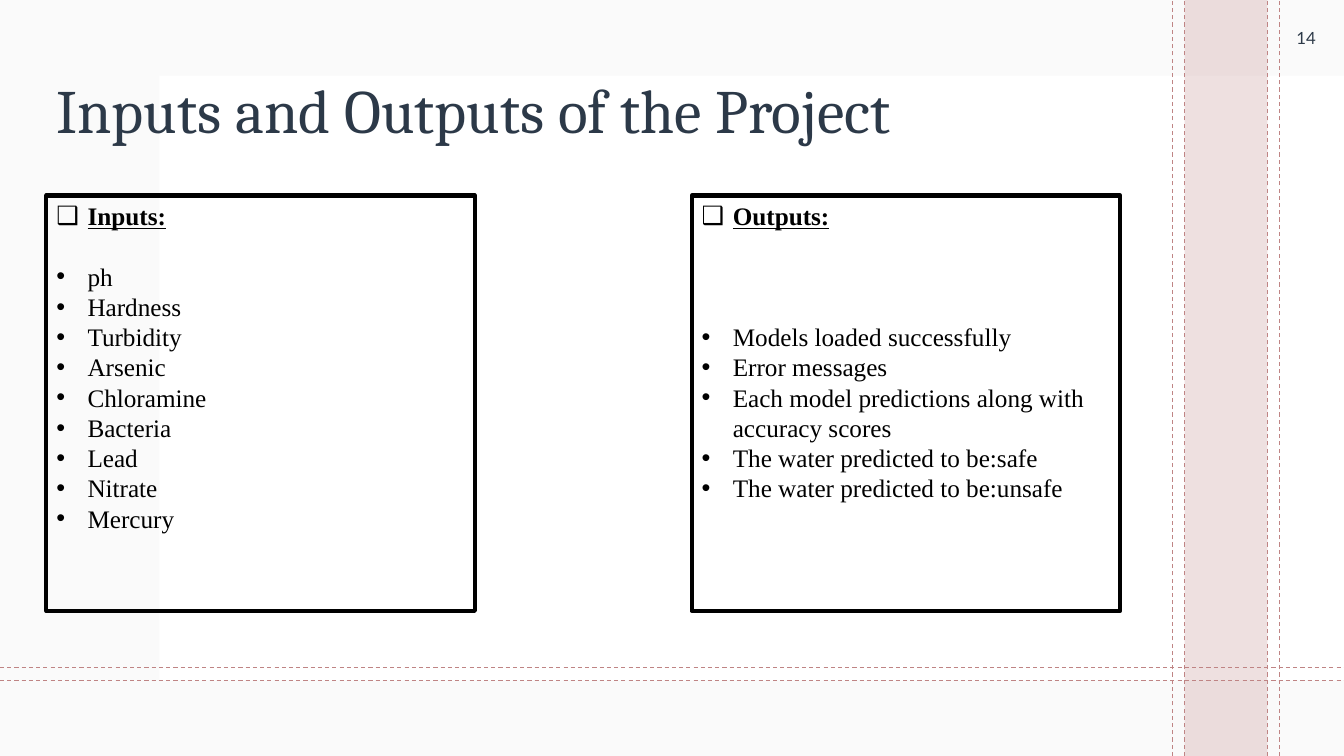
from lxml import etree
from pptx import Presentation
from pptx.dml.color import RGBColor
from pptx.enum.dml import MSO_LINE
from pptx.enum.shapes import MSO_CONNECTOR, MSO_SHAPE
from pptx.enum.text import MSO_ANCHOR, MSO_AUTO_SIZE, PP_ALIGN
from pptx.oxml.ns import qn
from pptx.util import Inches, Pt

DASH = MSO_LINE.DASH
STRAIGHT = MSO_CONNECTOR.STRAIGHT
RECT = MSO_SHAPE.RECTANGLE
TOP, MIDDLE = MSO_ANCHOR.TOP, MSO_ANCHOR.MIDDLE
NO_FIT = MSO_AUTO_SIZE.NONE
LEFT, CENTER = PP_ALIGN.LEFT, PP_ALIGN.CENTER

WIDE, HIGH = 13.33, 7.5
ROSE, PINK, NAVY, BLACK = "BF8484", "F49D90", "2C3948", "000000"
SERIF = "Times New Roman"
LINE = 21.6
INPUTS = ["ph", "Hardness", "Turbidity", "Arsenic", "Chloramine",
          "Bacteria", "Lead", "Nitrate", "Mercury"]
OUTPUTS = ["Models loaded successfully", "Error messages",
           "Each model predictions along with accuracy scores",
           "The water predicted to be:safe", "The water predicted to be:unsafe"]


def color(code):
    """Turn a hex string into a colour."""
    return RGBColor.from_string(code)


def write(para, text, size=18, font=SERIF, tint=BLACK, bold=False,
          under=False, align=LEFT):
    """Put one formatted run into a paragraph."""
    para.alignment = align
    run = para.add_run()
    run.text = text
    face = run.font
    face.size, face.name = Pt(size), font
    face.bold, face.underline = bold, under
    face.color.rgb = color(tint)


def add_mark(para, mark):
    """Give a paragraph a hanging bullet."""
    props = para._p.get_or_add_pPr()
    props.set("marL", str(Inches(0.31)))
    props.set("indent", str(Inches(-0.31)))
    etree.SubElement(props, qn("a:buFont")).set("typeface", "Arial")
    etree.SubElement(props, qn("a:buChar")).set("char", mark)


def add_rect(slide, left, top, width, height):
    """Add a plain rectangle without shadow, fill or line."""
    rect = slide.shapes.add_shape(RECT, Inches(left), Inches(top),
                                  Inches(width), Inches(height))
    rect.shadow.inherit = False
    rect.fill.background()
    rect.line.fill.background()
    return rect


def add_band(slide, left, top, width, height, tint, alpha=100):
    """Add a filled band, opaque to the given percentage."""
    band = add_rect(slide, left, top, width, height)
    band.fill.solid()
    band.fill.fore_color.rgb = color(tint)
    if alpha < 100:
        fill = band._element.spPr.find(qn("a:solidFill"))
        etree.SubElement(fill[0], qn("a:alpha")).set("val", str(alpha * 1000))


def add_rule(slide, start, end, tint=ROSE):
    """Add a thin dashed line between two points."""
    rule = slide.shapes.add_connector(STRAIGHT, *map(Inches, start + end))
    rule.line.color.rgb = color(tint)
    rule.line.width = Pt(0.75)
    rule.line.dash_style = DASH
    etree.SubElement(rule._element.spPr, qn("a:effectLst"))


def add_upright(slide, left, tint=ROSE):
    """Add a dashed line up the full slide height."""
    add_rule(slide, (left, HIGH), (left, 0), tint)


def add_level(slide, top, tint=ROSE):
    """Add a dashed line across the full slide width."""
    add_rule(slide, (0, top), (WIDE, top), tint)


def add_frame(slide):
    """Draw the backdrop and its guide lines."""
    add_band(slide, 0, 0, WIDE, HIGH, "F4F4F4", 45)
    add_band(slide, 1.58, 0.75, 11.75, 6, "FFFFFF")
    add_upright(slide, 12.57, PINK)
    add_level(slide, 6.75, PINK)
    add_band(slide, 11.75, 0, 0.82, HIGH, ROSE, 25)
    for left in (12.57, 12.69, 11.75, 11.63):
        add_upright(slide, left)
    for top in (6.75, 6.62):
        add_level(slide, top)


def set_title(slide, text):
    """Place and fill the title."""
    title = slide.shapes.title
    title.left, title.top = Inches(0.46), Inches(0.4)
    title.width, title.height = Inches(10.64), Inches(1.45)
    frame = title.text_frame
    frame.auto_size = NO_FIT
    frame.vertical_anchor = MIDDLE
    para = frame.paragraphs[0]
    para.line_spacing = 0.9
    write(para, text, size=44, font="Cambria", tint=NAVY)


def add_number(slide, text):
    """Add the page number in the top right corner."""
    box = slide.shapes.add_textbox(Inches(12.58), 0, Inches(0.75), Inches(0.75))
    frame = box.text_frame
    frame.word_wrap = True
    frame.vertical_anchor = MIDDLE
    write(frame.paragraphs[0], text, size=12, font="Lato", tint=NAVY,
          align=CENTER)


def add_list(slide, left, head, items, gap):
    """Add a framed list, its items set some lines below the head."""
    box = add_rect(slide, left, 1.94, 4.25, 4.12)
    box.line.color.rgb = color(BLACK)
    box.line.width = Pt(3)
    frame = box.text_frame
    frame.word_wrap = True
    frame.vertical_anchor = TOP
    for rank, text in enumerate([head] + items):
        para = frame.add_paragraph() if rank else frame.paragraphs[0]
        para.line_spacing = Pt(LINE)
        para.space_before = Pt(gap * LINE if rank == 1 else 0)
        add_mark(para, "•" if rank else "❑")
        write(para, text, bold=not rank, under=not rank)


def main():
    """Build and save the slide."""
    deck = Presentation()
    deck.slide_width, deck.slide_height = Inches(WIDE), Inches(HIGH)
    slide = deck.slides.add_slide(deck.slide_layouts[5])
    add_frame(slide)
    tree = slide.shapes.title._element.getparent()
    tree.append(slide.shapes.title._element)
    set_title(slide, "Inputs and Outputs of the Project")
    add_number(slide, "14")
    add_list(slide, 0.46, "Inputs:", INPUTS, 1)
    add_list(slide, 6.86, "Outputs:", OUTPUTS, 3)
    deck.save("out.pptx")


if __name__ == "__main__":
    main()
